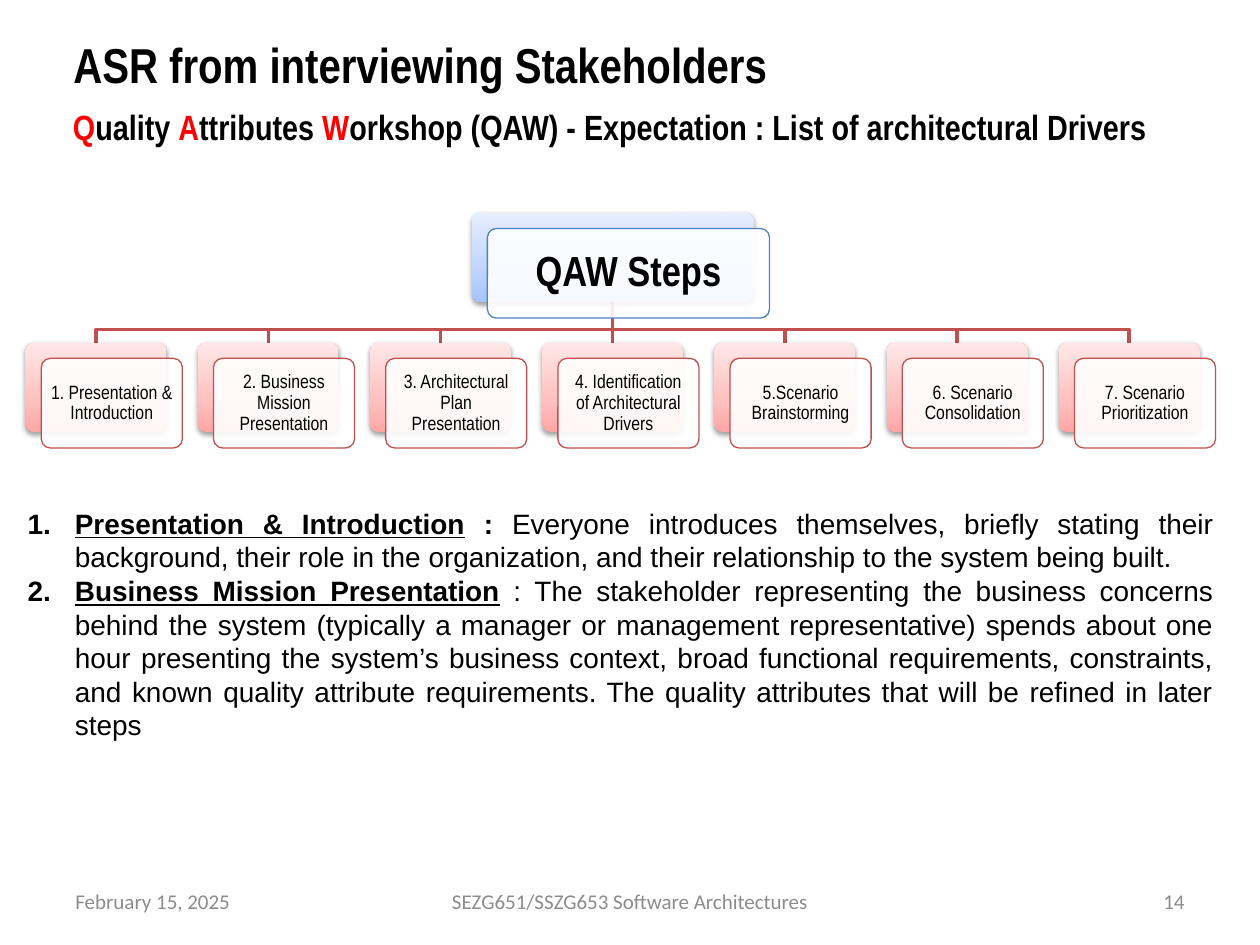
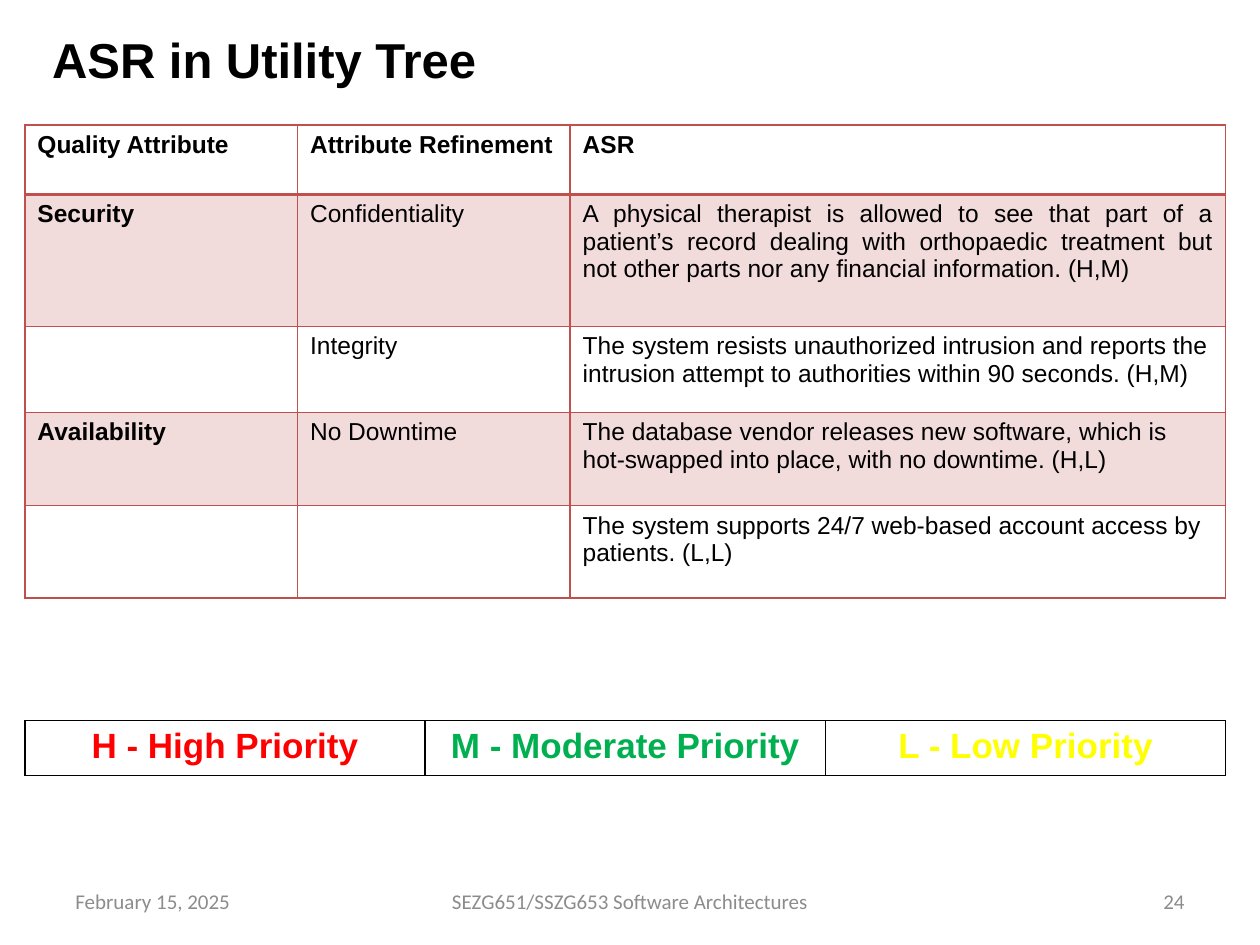
from lxml.etree import SubElement
from pptx import Presentation
from pptx.dml.color import RGBColor
from pptx.enum.shapes import MSO_CONNECTOR, MSO_SHAPE
from pptx.enum.text import MSO_ANCHOR, MSO_AUTO_SIZE, PP_ALIGN
from pptx.oxml import parse_xml
from pptx.oxml.ns import nsdecls, qn
from pptx.util import Pt

COLORS = {
    "text": "000000", "paper": "FFFFFF", "footer": "8C8C8C",
    "accent": "C0504D", "root_line": "4F81BD", "band": "F2DCDB",
    "high": "FF0000", "moderate": "00B050", "low": "FFFF00",
}
ROOT_GRADIENT = {0: "A4C4FF", 35: "BFD4FF", 100: "E6EEFF"}
STEP_GRADIENT = {0: "FFA6A5", 35: "FFC0BF", 100: "FFE7E7"}

TITLE = {"size": Pt(28), "bold": True, "name": "Arial"}
NARROW_TITLE = {**TITLE, "name": "Arial Narrow"}
SUBTITLE = {**NARROW_TITLE, "size": Pt(20)}
ROOT_LABEL = {**NARROW_TITLE, "size": Pt(24)}
STEP_LABEL = {"size": Pt(11), "bold": False, "name": "Arial Narrow"}
BODY = {"size": Pt(16), "bold": False, "name": "Arial"}
CELL = {"size": Pt(14), "bold": False, "name": "Arial"}
LEGEND = {"size": Pt(20), "bold": True, "name": "Arial"}
FOOTER = {"size": Pt(12), "bold": False, "name": "Calibri"}

STEPS = [
    "1. Presentation & Introduction",
    "2. Business Mission Presentation",
    "3. Architectural Plan Presentation",
    "4. Identification of Architectural Drivers",
    "5.Scenario Brainstorming",
    "6. Scenario Consolidation",
    "7. Scenario Prioritization",
]
EXPLANATIONS = [
    ("Presentation & Introduction", " : ", True,
     "Everyone introduces themselves, briefly stating their background, their "
     "role in the organization, and their relationship to the system being built."),
    ("Business Mission Presentation", " : ", False,
     "The stakeholder representing the business concerns behind the system "
     "(typically a manager or management representative) spends about one hour "
     "presenting the system’s business context, broad functional requirements, "
     "constraints, and known quality attribute requirements. The quality "
     "attributes that will be refined in later steps"),
]
UTILITY_ROWS = [
    ("Quality Attribute", "Attribute Refinement", "ASR"),
    ("Security", "Confidentiality",
     "A physical therapist is allowed to see that part of a patient’s record "
     "dealing with orthopaedic treatment but not other parts nor any financial "
     "information. (H,M)"),
    ("", "Integrity",
     "The system resists unauthorized intrusion and reports the intrusion "
     "attempt to authorities within 90 seconds. (H,M)"),
    ("Availability", "No Downtime",
     "The database vendor releases new software, which is hot-swapped into "
     "place, with no downtime. (H,L)"),
    ("", "",
     "The system supports 24/7 web-based account access by patients. (L,L)"),
]
PRIORITIES = {"high": "H - High Priority", "moderate": "M - Moderate Priority",
              "low": "L - Low Priority"}


def rgb(key):
    return RGBColor.from_string(COLORS[key])


def assign(target, values):
    for attribute, value in values.items():
        setattr(target, attribute, value)


def place(shape, box):
    assign(shape, dict(zip(("left", "top", "width", "height"), map(Pt, box))))


def add_run(paragraph, text, style, color="text", **extra):
    run = paragraph.add_run()
    run.text = text
    assign(run.font, {**style, **extra})
    run.font.color.rgb = rgb(color)


def add_label(slide, box, text, style, color="text", align=PP_ALIGN.CENTER):
    label = slide.shapes.add_textbox(*map(Pt, box))
    assign(label.text_frame, {"word_wrap": True, "vertical_anchor": MSO_ANCHOR.MIDDLE})
    paragraph = label.text_frame.paragraphs[0]
    paragraph.alignment = align
    add_run(paragraph, text, style, color)


# Shared title and footer
def add_frame(slide, title_box, title, style, number):
    place(slide.shapes.title, title_box)
    frame = slide.shapes.title.text_frame
    assign(frame, {"auto_size": MSO_AUTO_SIZE.NONE, "word_wrap": False,
                   "vertical_anchor": MSO_ANCHOR.MIDDLE})
    frame.paragraphs[0].alignment = PP_ALIGN.CENTER
    add_run(frame.paragraphs[0], title, style)
    for left, width, text, align in (
        (36, 168, "February 15, 2025", PP_ALIGN.LEFT),
        (246, 228, "SEZG651/SSZG653 Software Architectures", PP_ALIGN.CENTER),
        (516, 168, str(number), PP_ALIGN.RIGHT),
    ):
        add_label(slide, (left, 500.5, width, 28.8), text, FOOTER, "footer", align)


# Subtitle with the initials picked out
def add_subtitle(slide, box):
    subtitle = slide.shapes.add_textbox(*map(Pt, box))
    subtitle.text_frame.word_wrap = False
    paragraph = subtitle.text_frame.paragraphs[0]
    paragraph.alignment = PP_ALIGN.CENTER
    for initial, rest in (
        ("Q", "uality "), ("A", "ttributes "),
        ("W", "orkshop (QAW) - Expectation : List of architectural Drivers"),
    ):
        add_run(paragraph, initial, SUBTITLE, "high")
        add_run(paragraph, rest, SUBTITLE)


def add_rounded(slide, box):
    card = slide.shapes.add_shape(MSO_SHAPE.ROUNDED_RECTANGLE, *map(Pt, box))
    card.adjustments[0] = 0.1
    card.shadow.inherit = False
    return card


# Shaded card with a translucent label card in front
def add_card(slide, box, text, style, gradient, line, inset):
    left, top, width, height = box
    back = add_rounded(slide, box)
    back.line.fill.background()
    properties = back.element.spPr
    stops = "".join(f'<a:gs pos="{pos * 1000}"><a:srgbClr val="{color}"/></a:gs>'
                    for pos, color in gradient.items())
    properties.find(qn("a:prstGeom")).addnext(parse_xml(
        f'<a:gradFill {nsdecls("a")} rotWithShape="1"><a:gsLst>{stops}</a:gsLst>'
        '<a:lin ang="16200000" scaled="0"/></a:gradFill>'))
    properties.find(qn("a:effectLst")).append(parse_xml(
        f'<a:outerShdw {nsdecls("a")} blurRad="40000" dist="20000" dir="5400000" '
        'rotWithShape="0"><a:srgbClr val="000000"><a:alpha val="38000"/>'
        '</a:srgbClr></a:outerShdw>'))

    front = add_rounded(slide, (left + 9, top + 9, width, height))
    front.fill.solid()
    front.fill.fore_color.rgb = rgb("paper")
    SubElement(next(front.element.spPr.iter(qn("a:srgbClr"))),
               qn("a:alpha"), val="90000")
    front.line.color.rgb = rgb(line)
    front.line.width = Pt(0.75)
    frame = front.text_frame
    assign(frame, {"word_wrap": True, "vertical_anchor": MSO_ANCHOR.MIDDLE})
    assign(frame, {f"margin_{side}": Pt(inset)
                   for side in ("left", "right", "top", "bottom")})
    assign(frame.paragraphs[0], {"alignment": PP_ALIGN.CENTER, "line_spacing": 0.9})
    add_run(frame.paragraphs[0], text, style)


# Tree of workshop steps
def add_step_tree(slide, box):
    left, top, width, height = box
    card_width, card_height, root_width = 80.6, 51.2, 161.2
    pitch = (width - 9 - card_width) / (len(STEPS) - 1)
    center = left + (width - 9) / 2
    steps_top = top + height - 9 - card_height
    root_bottom, bus = top + card_height, steps_top - 7.5
    step_lefts = [left + i * pitch for i in range(len(STEPS))]

    for step_left in step_lefts:
        x = step_left + card_width / 2
        if abs(x - center) < 1:
            branch = slide.shapes.add_connector(
                MSO_CONNECTOR.STRAIGHT,
                *map(Pt, (center, root_bottom, center, steps_top)))
            SubElement(branch._element.spPr, qn("a:effectLst"))
        else:
            outline = slide.shapes.build_freeform(Pt(center), Pt(root_bottom))
            outline.add_line_segments(
                [(Pt(center), Pt(bus)), (Pt(x), Pt(bus)), (Pt(x), Pt(steps_top))],
                close=False)
            branch = outline.convert_to_shape()
            branch.fill.background()
            branch.shadow.inherit = False
        branch.line.color.rgb = rgb("accent")
        branch.line.width = Pt(2)

    add_card(slide, (center - root_width / 2, top, root_width, card_height),
             "QAW Steps", ROOT_LABEL, ROOT_GRADIENT, "root_line", 7.2)
    for step_left, step in zip(step_lefts, STEPS):
        add_card(slide, (step_left, steps_top, card_width, card_height),
                 step, STEP_LABEL, STEP_GRADIENT, "accent", 3.6)


# Numbered explanations
def add_explanations(slide, box):
    body = slide.placeholders[1]
    place(body, box)
    frame = body.text_frame
    frame.auto_size = MSO_AUTO_SIZE.NONE
    for i, (term, colon, bold_colon, meaning) in enumerate(EXPLANATIONS):
        paragraph = frame.add_paragraph() if i else frame.paragraphs[0]
        assign(paragraph, {"alignment": PP_ALIGN.JUSTIFY, "space_before": Pt(0)})
        properties = paragraph._p.get_or_add_pPr()
        properties.set("marL", str(Pt(27)))
        properties.set("indent", str(-Pt(27)))
        SubElement(properties, qn("a:buFont"), typeface="+mj-lt")
        SubElement(properties, qn("a:buAutoNum"), type="arabicPeriod")
        add_run(paragraph, term, BODY, bold=True, underline=True)
        add_run(paragraph, colon, BODY, bold=bold_colon)
        add_run(paragraph, meaning, BODY)


def set_borders(cell, color, **widths):
    properties = cell._tc.get_or_add_tcPr()
    for i, side in enumerate("LRTB"):
        properties.insert(i, parse_xml(
            f'<a:ln{side} {nsdecls("a")} w="{Pt(widths.get(side, 1))}"><a:solidFill>'
            f'<a:srgbClr val="{COLORS[color]}"/></a:solidFill></a:ln{side}>'))


def add_grid(slide, left, top, widths, heights):
    grid = slide.shapes.add_table(
        len(heights), len(widths),
        *map(Pt, (left, top, sum(widths), sum(heights)))).table
    assign(grid, {"first_row": False, "horz_banding": False})
    for column, width in zip(grid.columns, widths):
        column.width = Pt(width)
    for row, height in zip(grid.rows, heights):
        row.height = Pt(height)
    return grid


def fill_cell(cell, text, style, fill="paper", color="text", align=PP_ALIGN.LEFT):
    cell.fill.solid()
    cell.fill.fore_color.rgb = rgb(fill)
    paragraph = cell.text_frame.paragraphs[0]
    paragraph.alignment = align
    if text:
        add_run(paragraph, text, style, color)


# Utility tree table
def add_utility_table(slide, left, top):
    grid = add_grid(slide, left, top, (155.8, 155.8, 374.6),
                    (39.6, 75.6, 49.2, 53.3, 52.9))
    for r, row in enumerate(UTILITY_ROWS):
        for c, text in enumerate(row):
            style = {**CELL, "bold": r == 0 or c == 0}
            align = PP_ALIGN.JUSTIFY if (r, c) == (1, 2) else PP_ALIGN.LEFT
            fill_cell(grid.cell(r, c), text, style, "band" if r % 2 else "paper",
                      align=align)
            set_borders(grid.cell(r, c), "accent",
                        T=2 if r == 1 else 1, B=2 if r == 0 else 1)


# Priority legend
def add_priority_legend(slide, left, top, width):
    grid = add_grid(slide, left, top, [width / len(PRIORITIES)] * len(PRIORITIES), [29.5])
    for c, (level, text) in enumerate(PRIORITIES.items()):
        fill_cell(grid.cell(0, c), text, LEGEND, color=level, align=PP_ALIGN.CENTER)
        set_borders(grid.cell(0, c), "text")


def main():
    deck = Presentation()
    deck.slide_width, deck.slide_height = Pt(720), Pt(540)

    workshop = deck.slides.add_slide(deck.slide_layouts[1])
    add_frame(workshop, (15.8, 8.6, 448.6, 55.4),
              "ASR from interviewing Stakeholders", NARROW_TITLE, 14)
    add_subtitle(workshop, (31, 56.9, 635, 31.7))
    add_step_tree(workshop, (14.6, 121.6, 680, 134.4))
    add_explanations(workshop, (8.6, 285.8, 692, 143.3))

    utility = deck.slides.add_slide(deck.slide_layouts[5])
    add_frame(utility, (20.2, 11.5, 261.4, 43.9), "ASR in Utility Tree", TITLE, 24)
    add_utility_table(utility, 14.2, 71.3)
    add_priority_legend(utility, 14.2, 411.8, 686.2)

    deck.save("out.pptx")


if __name__ == "__main__":
    main()
